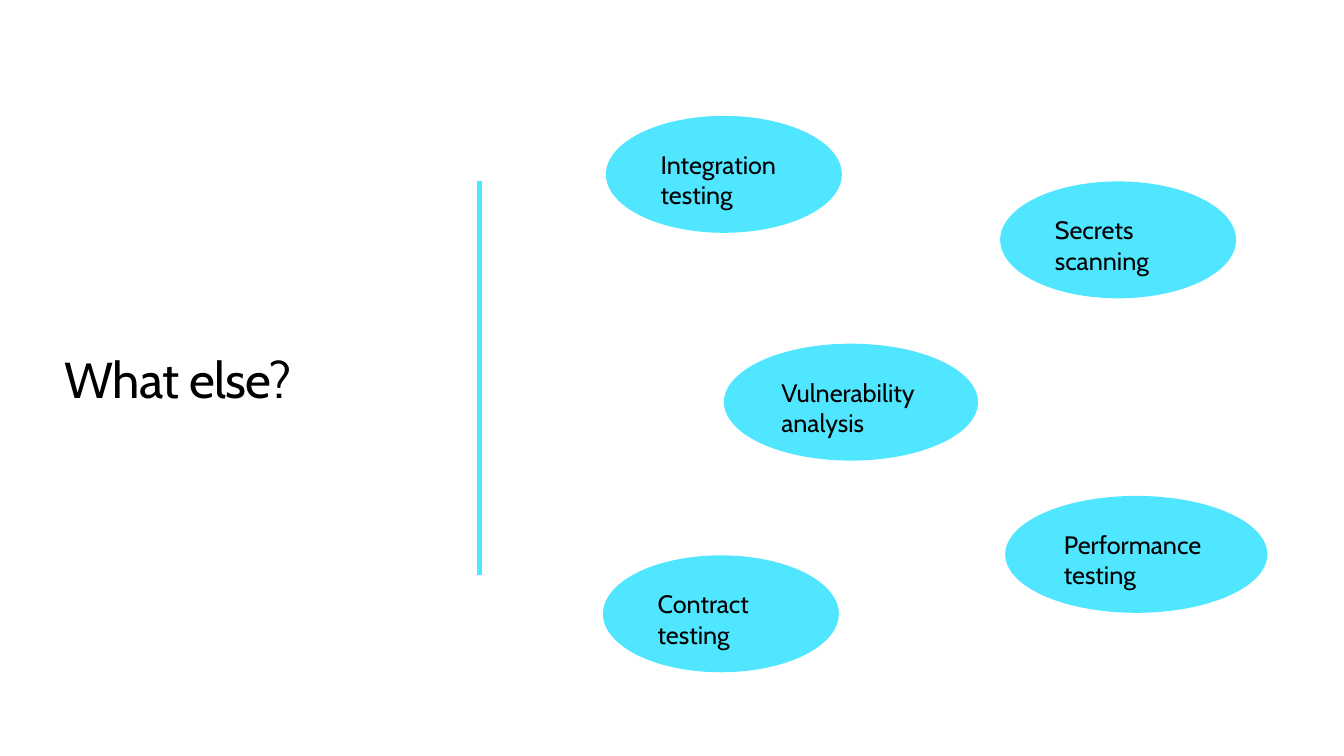
from pptx import Presentation
from pptx import util as u
from pptx.dml.color import RGBColor
from pptx.enum import shapes, text
from pptx.oxml.ns import qn
from lxml import etree

COLORS = {"ink": "000000", "accent": "50E6FF", "paper": "FFFFFF"}
TOPICS = [
    ("Vulnerability analysis", 7.18, 3.41, 2.52),
    ("Secrets scanning", 9.92, 1.8, 2.34),
    ("Integration testing", 6.01, 1.15, 2.34),
    ("Performance testing", 9.97, 4.92, 2.6),
    ("Contract testing", 5.98, 5.51, 2.34),
]


class TopicSlide:
    font_name = "Cabin"
    bubble_height = 1.16

    def __init__(self, deck):
        self.page = deck.slides.add_slide(deck.slide_layouts[5])
        background = self.page.background.fill
        background.solid()
        background.fore_color.rgb = self.color("paper")

    def color(self, name):
        return RGBColor.from_string(COLORS[name])

    def label(self, box, wording, size, anchor, side=0, edge=0):
        frame = box.text_frame
        frame.word_wrap = True
        frame.auto_size = text.MSO_AUTO_SIZE.NONE
        frame.vertical_anchor = anchor
        frame.margin_left = frame.margin_right = u.Inches(side)
        frame.margin_top = frame.margin_bottom = u.Inches(edge)
        para = frame.paragraphs[0]
        para.alignment = text.PP_ALIGN.LEFT
        span = para.add_run()
        span.text = wording
        para.font.name = self.font_name
        para.font.size = u.Pt(size)
        para.font.color.rgb = self.color("ink")
        return span

    def title(self, wording, left, top, width, height):
        box = self.page.shapes.title
        box.left, box.top = u.Inches(left), u.Inches(top)
        box.width, box.height = u.Inches(width), u.Inches(height)
        span = self.label(box, wording, 36, text.MSO_ANCHOR.MIDDLE)
        span._r.get_or_add_rPr().set("spc", "-50")

    def divider(self, left, top, bottom):
        line = self.page.shapes.add_connector(
            shapes.MSO_CONNECTOR.STRAIGHT,
            u.Inches(left), u.Inches(top), u.Inches(left), u.Inches(bottom))
        line.line.color.rgb = self.color("accent")
        line.line.width = u.Pt(3.5)
        etree.SubElement(line._element.spPr, qn("a:effectLst"))

    def bubble(self, wording, left, top, width):
        box = self.page.shapes.add_shape(
            shapes.MSO_SHAPE.OVAL, u.Inches(left), u.Inches(top),
            u.Inches(width), u.Inches(self.bubble_height))
        box.shadow.inherit = False
        box.fill.solid()
        box.fill.fore_color.rgb = self.color("accent")
        box.line.fill.background()
        self.label(box, wording, 18, text.MSO_ANCHOR.TOP, 0.2, 0.16)


def main():
    deck = Presentation()
    deck.slide_width, deck.slide_height = u.Inches(13.33), u.Inches(7.5)
    slide = TopicSlide(deck)
    slide.title("What else?", 0.64, 3.45, 3.63, 0.61)
    slide.divider(4.76, 1.8, 5.7)
    for topic in TOPICS:
        slide.bubble(*topic)
    deck.save("out.pptx")


if __name__ == "__main__":
    main()
